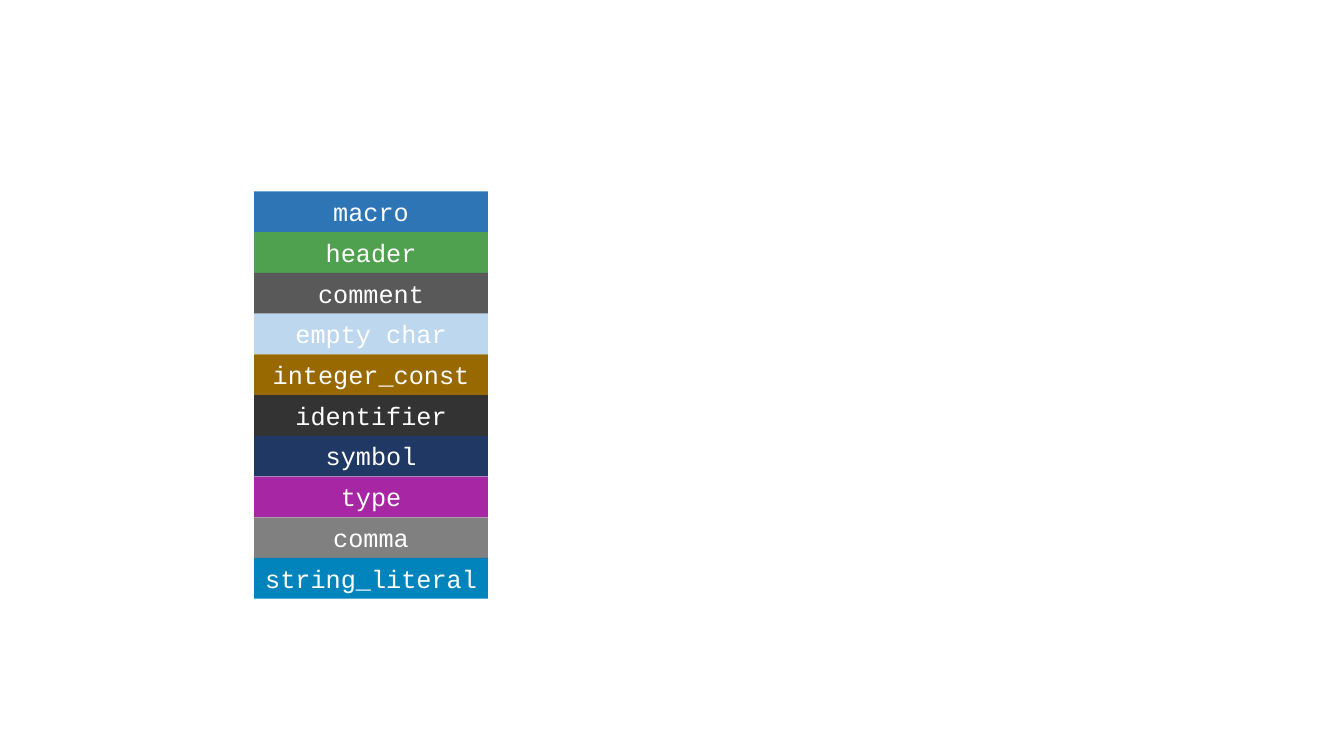
from pptx import Presentation
from pptx.dml.color import RGBColor
from pptx.enum.shapes import MSO_SHAPE as Preset
from pptx.enum.text import MSO_ANCHOR as Anchor, MSO_AUTO_SIZE as AutoSize, PP_ALIGN as Align
from pptx.util import Inches, Pt

TOKEN_COLORS = [
    ("macro", "2E75B6"),
    ("header", "50A14F"),
    ("comment", "595959"),
    ("empty char", "BDD7EE"),
    ("integer_const", "986801"),
    ("identifier", "333333"),
    ("symbol", "203864"),
    ("type", "A626A4"),
    ("comma", "808080"),
    ("string_literal", "0184BC"),
]


def paint(color_format, value):
    color_format.rgb = RGBColor.from_string(value)


def add_token_label(page, token, color, left, top, width, height):
    box = page.shapes.add_shape(
        Preset.RECTANGLE, Inches(left), Inches(top), Inches(width), Inches(height)
    )
    box.shadow.inherit = False
    box.fill.solid()
    paint(box.fill.fore_color, color)
    box.line.fill.background()
    frame = box.text_frame
    frame.word_wrap = True
    frame.auto_size = AutoSize.SHAPE_TO_FIT_TEXT
    frame.vertical_anchor = Anchor.TOP
    para = frame.paragraphs[0]
    para.alignment = Align.CENTER
    span = para.add_run()
    span.text = token
    span.font.name = "Courier New"
    span.font.size = Pt(18)
    paint(span.font.color, "FFFFFF")


def add_token_legend(page, left, top, width, height):
    row_height = height / len(TOKEN_COLORS)
    for row, (token, color) in enumerate(TOKEN_COLORS):
        add_token_label(page, token, color, left, top + row * row_height, width, row_height)


deck = Presentation()
deck.slide_width = Inches(13.33)
deck.slide_height = Inches(7.5)
page = deck.slides.add_slide(deck.slide_layouts[6])
add_token_legend(page, 2.52, 1.9, 2.32, 4.04)
deck.save("out.pptx")
